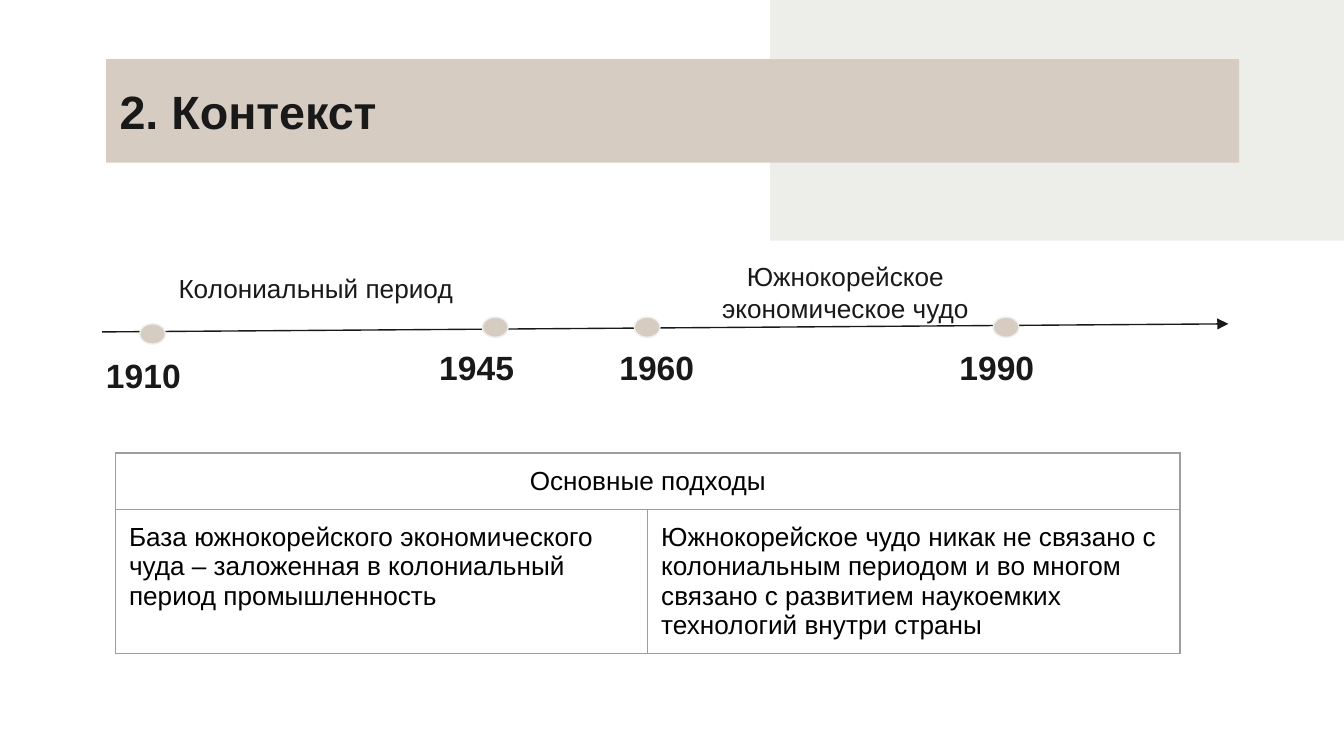
"""Builds the context slide: a timeline of periods above a table of approaches."""
from lxml.etree import SubElement
from pptx import Presentation
from pptx.dml.color import RGBColor
from pptx.enum.shapes import MSO_CONNECTOR, MSO_SHAPE
from pptx.enum.text import MSO_ANCHOR, MSO_AUTO_SIZE, PP_ALIGN
from pptx.oxml import parse_xml
from pptx.oxml.ns import nsdecls, qn
from pptx.util import Inches, Pt

COLORS = {"ink": "191919", "sand": "D6CCC2", "mist": "EDEDE9",
          "grid": "9E9E9E", "black": "000000"}
HUES = {name: RGBColor.from_string(code) for name, code in COLORS.items()}
PAD = Inches(0.1)
FRAME = {"word_wrap": True, "auto_size": MSO_AUTO_SIZE.NONE,
         "margin_left": PAD, "margin_right": PAD,
         "margin_top": PAD, "margin_bottom": PAD}
TITLE = {"name": "Arial", "size": Pt(25), "bold": True}
YEAR = {"name": "Arial", "size": Pt(18), "bold": True}
BODY = {"name": "Arial", "size": Pt(14), "bold": False}


def write(frame, text, style, hue="ink", align=PP_ALIGN.LEFT):
    """Put one formatted paragraph into a text frame."""
    para = frame.paragraphs[0]
    para.alignment = align
    run = para.add_run()
    run.text = text
    for key, value in style.items():
        setattr(run.font, key, value)
    run.font.color.rgb = HUES[hue]


def draw(kind, box, fill, edge=None):
    """Add a flat preset shape with an optional thin edge."""
    shape = slide.shapes.add_shape(kind, *map(Inches, box))
    shape.shadow.inherit = False
    shape.fill.solid()
    shape.fill.fore_color.rgb = HUES[fill]
    if edge:
        shape.line.color.rgb = HUES[edge]
        shape.line.width = Pt(0.75)
    else:
        shape.line.fill.background()
    return shape


deck = Presentation()
deck.slide_width = Inches(10)
deck.slide_height = Inches(10) * 9 // 16
slide = deck.slides.add_slide(deck.slide_layouts[5])

title = slide.shapes.title
panel = draw(MSO_SHAPE.RECTANGLE, (5.73, 0, 4.27, 1.79), "mist")
title.element.addprevious(panel.element)
place = {"left": 0.79, "top": 0.44, "width": 8.43, "height": 0.77}
for key, value in place.items():
    setattr(title, key, Inches(value))
title.fill.solid()
title.fill.fore_color.rgb = HUES["sand"]
for key, value in FRAME.items():
    setattr(title.text_frame, key, value)
title.text_frame.vertical_anchor = MSO_ANCHOR.MIDDLE
write(title.text_frame, "2. Контекст", TITLE)

axis = slide.shapes.add_connector(
    MSO_CONNECTOR.STRAIGHT, *map(Inches, (0.76, 2.47, 9.14, 2.41)))
axis.line.color.rgb = HUES["ink"]
axis.line.width = Pt(0.75)
SubElement(axis.line._get_or_add_ln(), qn("a:tailEnd"), type="triangle")
SubElement(axis.element.spPr, qn("a:effectLst"))

for left, top in ((1.04, 2.41), (3.59, 2.36), (4.72, 2.36), (7.39, 2.36)):
    draw(MSO_SHAPE.OVAL, (left, top, 0.19, 0.15), "sand", "mist")

labels = (
    ("1910", (0.69, 2.58, 0.89, 0.46), YEAR, MSO_ANCHOR.BOTTOM, PP_ALIGN.LEFT),
    ("1945", (3.17, 2.52, 1.06, 0.46), YEAR, MSO_ANCHOR.BOTTOM, PP_ALIGN.LEFT),
    ("1960", (4.51, 2.52, 0.89, 0.46), YEAR, MSO_ANCHOR.BOTTOM, PP_ALIGN.LEFT),
    ("1990", (7.04, 2.52, 0.89, 0.46), YEAR, MSO_ANCHOR.BOTTOM, PP_ALIGN.LEFT),
    ("Колониальный период", (1.23, 1.93, 2.45, 0.46),
     BODY, MSO_ANCHOR.TOP, PP_ALIGN.LEFT),
    ("Южнокорейское экономическое чудо", (4.83, 1.84, 2.92, 0.64),
     BODY, MSO_ANCHOR.TOP, PP_ALIGN.CENTER),
)
for text, box, style, anchor, align in labels:
    frame = slide.shapes.add_textbox(*map(Inches, box)).text_frame
    for key, value in FRAME.items():
        setattr(frame, key, value)
    frame.vertical_anchor = anchor
    write(frame, text, style, align=align)

table = slide.shapes.add_table(
    2, 2, *map(Inches, (0.86, 3.37, 7.92, 1.49))).table
table.first_row = table.horz_banding = False
for row, height in zip(table.rows, (0.42, 1.07)):
    row.height = Inches(height)
table.cell(0, 0).merge(table.cell(0, 1))
cells = (
    (0, 0, "Основные подходы", PP_ALIGN.CENTER),
    (1, 0, "База южнокорейского экономического чуда – заложенная "
           "в колониальный период промышленность", PP_ALIGN.LEFT),
    (1, 1, "Южнокорейское чудо никак не связано с колониальным периодом "
           "и во многом связано с развитием наукоемких технологий "
           "внутри страны", PP_ALIGN.LEFT),
)
for row, col, text, align in cells:
    write(table.cell(row, col).text_frame, text, BODY, "black", align)
for cell in table.iter_cells():
    for side in ("left", "right", "top", "bottom"):
        setattr(cell, f"margin_{side}", PAD)
    props = cell._tc.get_or_add_tcPr()
    for side in "LRTB":
        props.append(parse_xml(
            f'<a:ln{side} {nsdecls("a")} w="{Pt(0.75)}"><a:solidFill>'
            f'<a:srgbClr val="{COLORS["grid"]}"/></a:solidFill></a:ln{side}>'))
    cell.fill.background()

deck.save("out.pptx")
